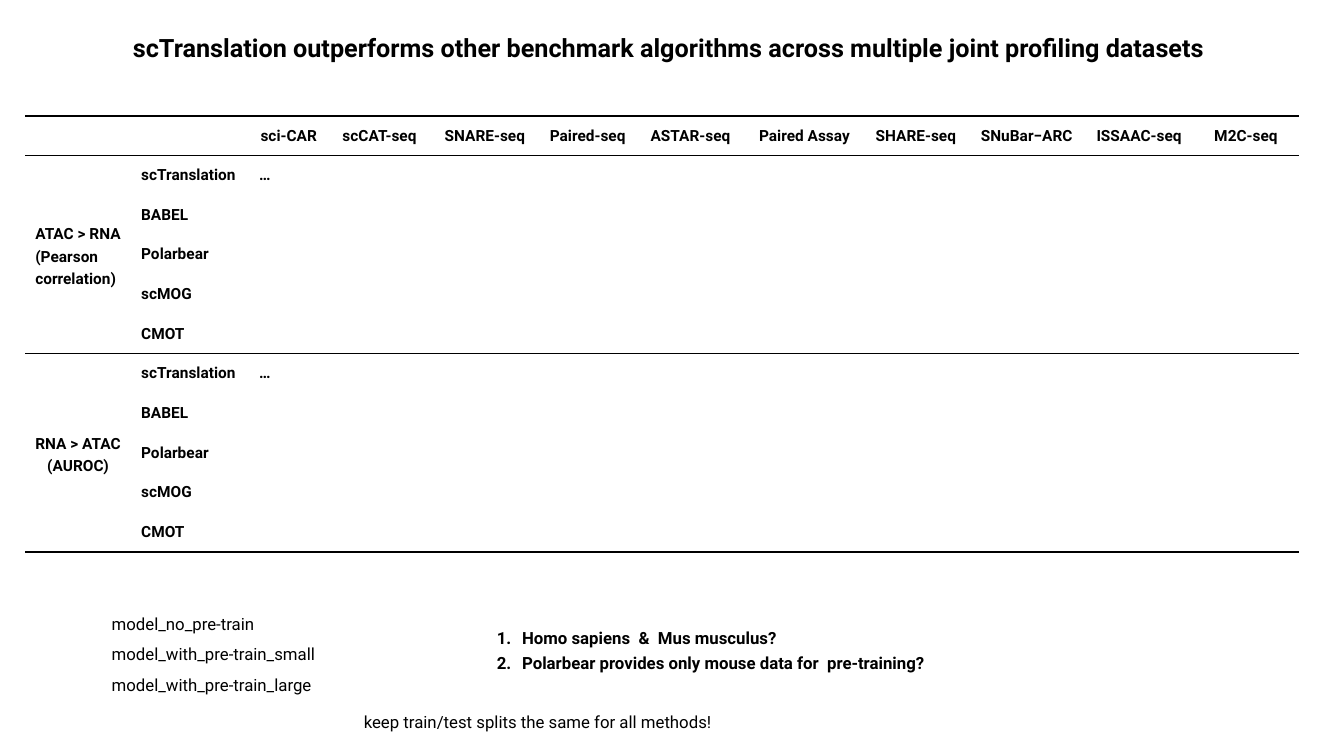
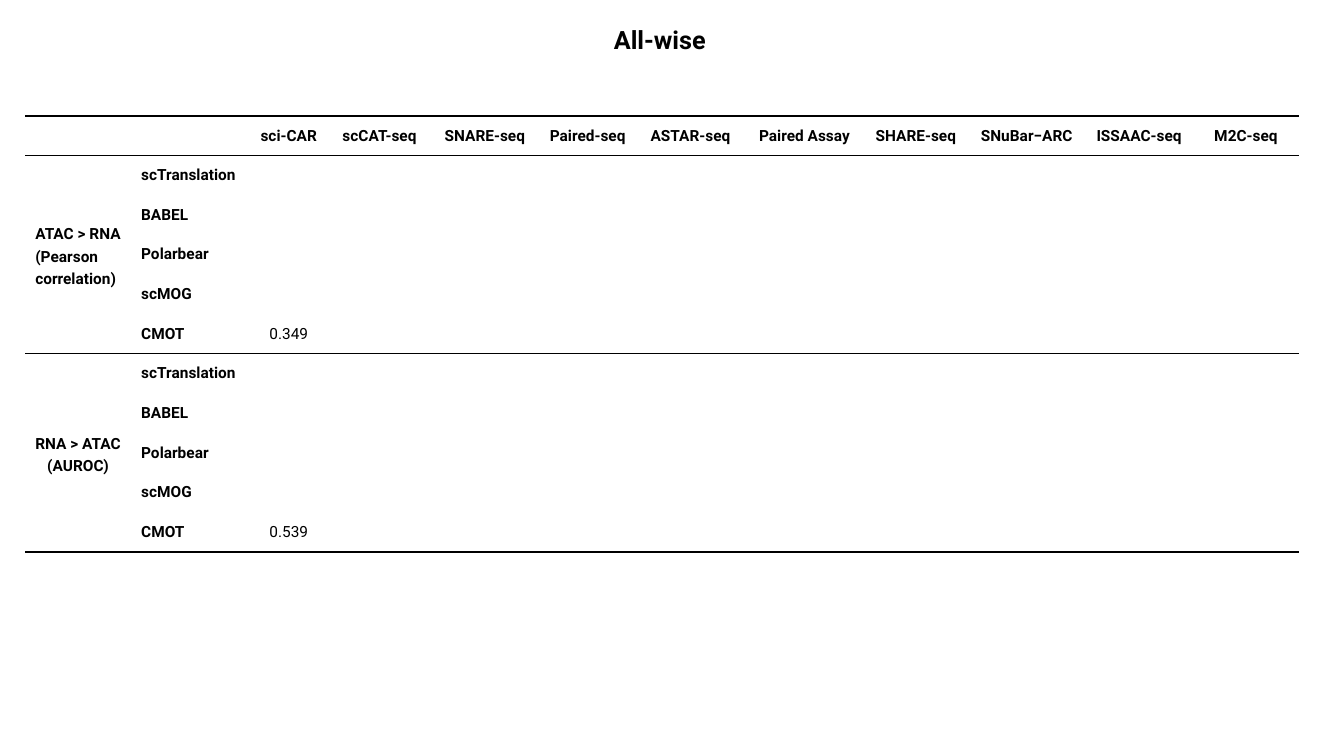
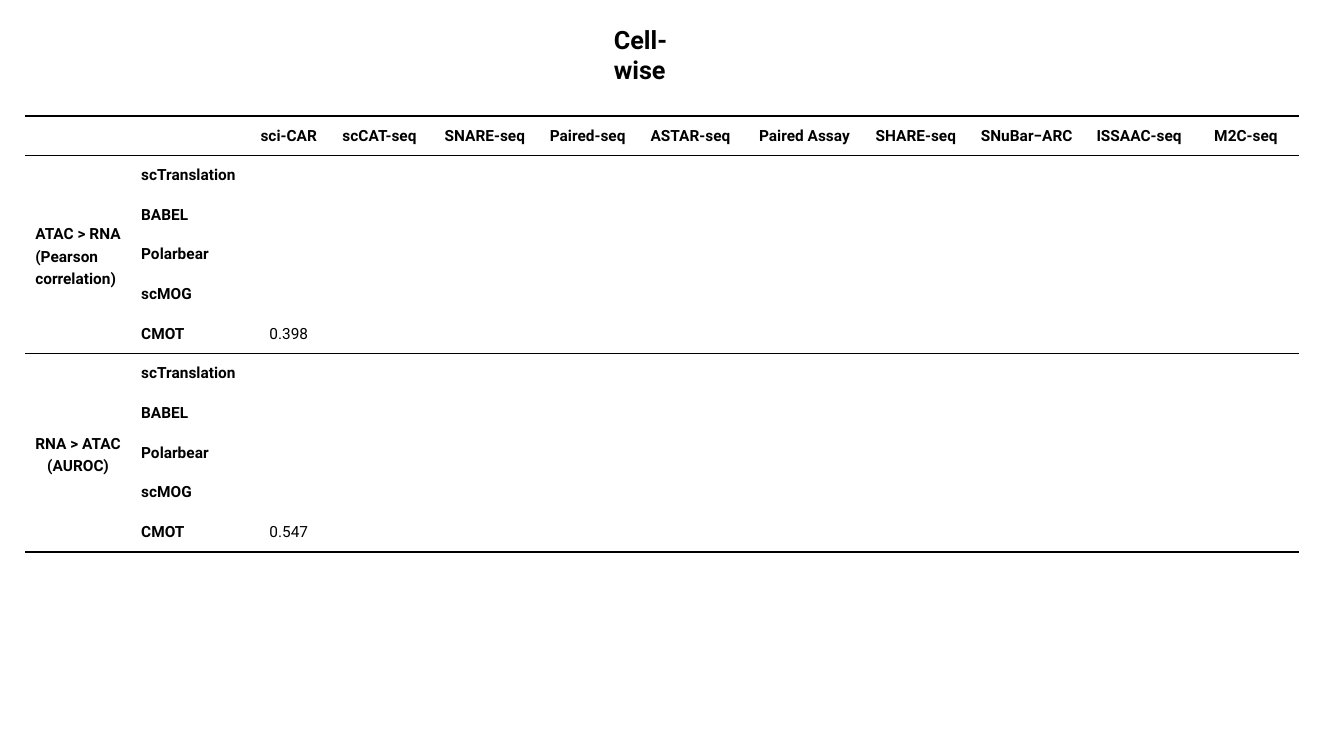
"""Benchmark tables of scTranslation across joint profiling datasets."""
from pptx import Presentation, util as u
from pptx.dml.color import RGBColor
from pptx.enum import text
from pptx.oxml import parse_xml
from pptx.oxml.ns import nsdecls, qn

BLACK = RGBColor(0x00, 0x00, 0x00)
FONT = "Roboto"
NO_GRID = "{2D5ABB26-0587-4C30-8999-92F81FD0307C}"
LEFT, CENTER = text.PP_ALIGN.LEFT, text.PP_ALIGN.CENTER

DATASETS = ["sci-CAR", "scCAT-seq", "SNARE-seq", "Paired-seq", "ASTAR-seq",
            "Paired Assay", "SHARE-seq", "SNuBar−ARC", "ISSAAC-seq", "M2C-seq"]
METHODS = ["scTranslation", "BABEL", "Polarbear", "scMOG", "CMOT"]
TASKS = [(["ATAC > RNA", "(Pearson correlation)"], LEFT),
         (["RNA > ATAC", "(AUROC)"], CENTER)]
COLUMNS = [1.05, 1.17, 0.79, 1.01, 1.08, 0.96, 1.08, 1.18, 1.03, 1.17, 1.06, 1.06]
TABLE_LEFT, TABLE_TOP, TABLE_HEIGHT = 0.25, 1.15, 4.33

PENDING = dict(bold=True)
SCORED = dict(bold=False, align=CENTER)
PAGES = [
    dict(title="scTranslation outperforms other benchmark algorithms across "
               "multiple joint profiling datasets",
         at=(1.22, 0.27, 11.06, 0.4), method="scTranslation",
         values=["…", "…"], style=PENDING,
         notes=[
             (["Homo sapiens  &  Mus musculus?",
               "Polarbear provides only mouse data for  pre-training?"],
              (4.83, 6.13, 4.54, 0.59), dict(bold=True, spacing=1.25, numbered=True)),
             (["model_no_pre-train", "model_with_pre-train_small",
               "model_with_pre-train_large"],
              (1.01, 5.94, 2.3, 0.97), dict(spacing=1.5)),
             (["keep train/test splits the same for all methods!"],
              (3.51, 6.91, 3.74, 0.4), dict(spacing=1.5)),
         ]),
    dict(title="All-wise", at=(5.99, 0.19, 1.16, 0.4), method="CMOT",
         values=["0.349", "0.539"], style=SCORED, notes=[]),
    dict(title="Cell-wise", at=(5.99, 0.19, 1.23, 0.4), method="CMOT",
         values=["0.398", "0.547"], style=SCORED, notes=[]),
]


def write(frame, lines, size=11, bold=False, align=LEFT, spacing=1.0, numbered=False):
    """Fill a text frame with one paragraph for each line."""
    for index, line in enumerate(lines):
        para = frame.paragraphs[0] if index == 0 else frame.add_paragraph()
        para.alignment, para.line_spacing = align, spacing
        if numbered:
            props = para._p.get_or_add_pPr()
            props.set("marL", str(u.Inches(0.25)))
            props.set("indent", str(u.Inches(-0.25)))
            props.append(parse_xml(f'<a:buAutoNum {nsdecls("a")} type="arabicPeriod"/>'))
        span = para.add_run()
        span.text = line
        span.font.name, span.font.size = FONT, u.Pt(size)
        span.font.bold, span.font.color.rgb = bold, BLACK


def add_text(page, lines, at, wrap=False, **style):
    """Add a text box that grows with its text."""
    frame = page.shapes.add_textbox(*map(u.Inches, at)).text_frame
    frame.word_wrap = wrap
    frame.auto_size = text.MSO_AUTO_SIZE.SHAPE_TO_FIT_TEXT
    write(frame, lines, **style)


def rule(cell, side, shown):
    """Set one side of a cell to a black line of one point, or to none."""
    paint = f'<a:solidFill><a:srgbClr val="{BLACK}"/></a:solidFill>' if shown else "<a:noFill/>"
    cell._tc.get_or_add_tcPr().append(parse_xml(
        f'<a:{side} {nsdecls("a")} w="{u.Pt(1)}">{paint}</a:{side}>'))


def add_scores(page, method, values, style):
    """Add the table of methods by datasets, one block of rows per task."""
    block = len(METHODS)
    count = 1 + block * len(TASKS)
    starts = range(1, count, block)
    table = page.shapes.add_table(
        count, len(COLUMNS), u.Inches(TABLE_LEFT), u.Inches(TABLE_TOP),
        u.Inches(sum(COLUMNS)), u.Inches(TABLE_HEIGHT)).table
    table.first_row = table.horz_banding = False
    table._tbl.tblPr.find(qn("a:tableStyleId")).text = NO_GRID
    for column, width in zip(table.columns, COLUMNS):
        column.width = u.Inches(width)
    for row in range(count):
        table.rows[row].height = u.Inches(TABLE_HEIGHT / count)
        for column in range(len(COLUMNS)):
            cell = table.cell(row, column)
            cell.margin_top = cell.margin_bottom = 0
            cell.vertical_anchor = text.MSO_ANCHOR.MIDDLE
            rule(cell, "lnT", row == 0 or row in starts)
            rule(cell, "lnB", row % block == 0 or (column == 0 and row in starts))
            cell.fill.background()
    for column, dataset in enumerate(DATASETS, 2):
        write(table.cell(0, column).text_frame, [dataset], bold=True, align=CENTER)
    for start, (label, last_align), value in zip(starts, TASKS, values):
        task = table.cell(start, 0)
        task.merge(table.cell(start + block - 1, 0))
        write(task.text_frame, label, bold=True, spacing=1.25)
        task.text_frame.paragraphs[-1].alignment = last_align
        for row, name in enumerate(METHODS, start):
            write(table.cell(row, 1).text_frame, [name], bold=True)
        scored = table.cell(start + METHODS.index(method), 2)
        write(scored.text_frame, [value], **style)


def main():
    """Build and save the deck."""
    deck = Presentation()
    deck.slide_width, deck.slide_height = u.Inches(13.33), u.Inches(7.5)
    for content in PAGES:
        page = deck.slides.add_slide(deck.slide_layouts[6])
        add_scores(page, content["method"], content["values"], content["style"])
        add_text(page, [content["title"]], content["at"], wrap=True, size=18, bold=True)
        for lines, at, style in content["notes"]:
            add_text(page, lines, at, size=12, **style)
    deck.save("out.pptx")


if __name__ == "__main__":
    main()
